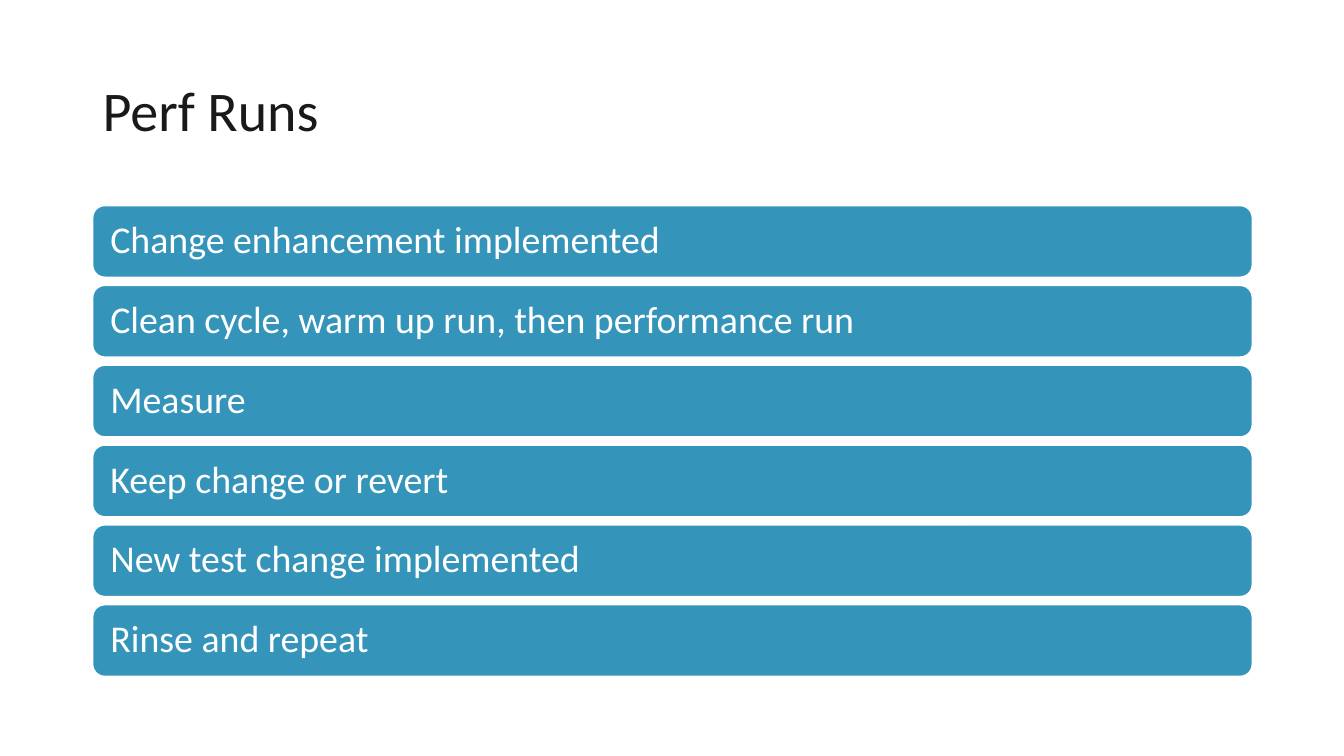
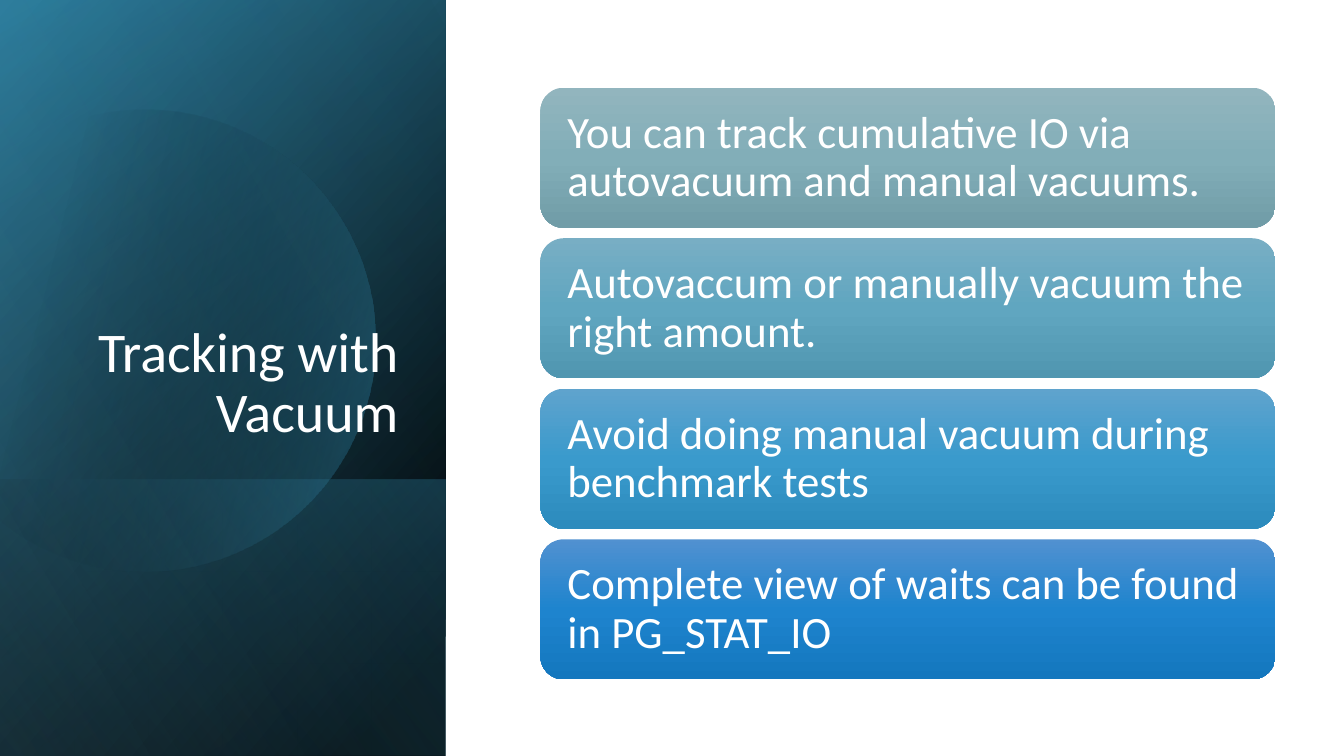
"""Builds two slides on performance runs and vacuum tracking."""
from math import acos, cos, sin

from lxml.etree import SubElement
from pptx import Presentation
from pptx.dml.color import RGBColor
from pptx.enum.shapes import MSO_SHAPE
from pptx.enum.text import MSO_ANCHOR, PP_ALIGN
from pptx.oxml.ns import qn
from pptx.util import Inches, Pt

FONT = "Calibri"
COLORS = {"ink": "191919", "white": "FFFFFF", "black": "000000",
          "accent": "3494BA", "deep": "276F8B", "pale": "7FC1DB"}

RUN_STEPS = [
    "Change enhancement implemented",
    "Clean cycle, warm up run, then performance run",
    "Measure",
    "Keep change or revert",
    "New test change implemented",
    "Rinse and repeat",
]
VACUUM_TIPS = [
    ("You can track cumulative IO via autovacuum and manual vacuums.",
     ("92B5BE", "82AEB8", "709CA7")),
    ("Autovaccum or manually vacuum the right amount.",
     ("78AEC4", "60A6C0", "5096B0")),
    ("Avoid doing manual vacuum during benchmark tests",
     ("5FA3CD", "3A9ACC", "2C8BBD")),
    ("Complete view of waits can be found in PG_STAT_IO",
     ("5191D0", "1E84CE", "1477BE")),
]

PANEL = (0, 0, 4.42, 7.5)
PANEL_FOOT = (0, 4.76, 4.42, 2.74)
BASE_LAYERS = [
    (PANEL, 50, [(8, COLORS["black"], 100), (100, COLORS["deep"], 100)]),
    (PANEL, 30, [(0, COLORS["black"], 0), (99, COLORS["accent"], 46)]),
    (PANEL_FOOT, 130, [(2, COLORS["accent"], 29), (100, COLORS["black"], 30)]),
]
TOP_LAYER = (PANEL, 120, [(0, COLORS["black"], 0), (99, COLORS["pale"], 11)])
DISC_CENTER, DISC_RADIUS = (1.43, 3.38), 2.29
DISC_STOPS = [(18, COLORS["black"], 0), (100, COLORS["accent"], 43)]


def fill_gradient(sp, angle, stops):
    sp.fill.background()
    spPr = sp._element.spPr
    old = spPr.find(qn("a:noFill"))
    grad = SubElement(spPr, qn("a:gradFill"), rotWithShape="1")
    spPr.replace(old, grad)
    stop_list = SubElement(grad, qn("a:gsLst"))
    for pos, color, opacity in stops:
        stop = SubElement(stop_list, qn("a:gs"), pos=str(pos * 1000))
        clr = SubElement(stop, qn("a:srgbClr"), val=color)
        if opacity < 100:
            SubElement(clr, qn("a:alpha"), val=str(opacity * 1000))
    SubElement(grad, qn("a:lin"), ang=str(angle * 60000), scaled="0")


def write_text(sp, text, size, color, anchor, align=PP_ALIGN.LEFT):
    tf = sp.text_frame
    tf.word_wrap = True
    tf.vertical_anchor = anchor
    tf.text = text
    p = tf.paragraphs[0]
    p.alignment = align
    p.line_spacing = 0.9
    p.font.name = FONT
    p.font.size = Pt(size)
    p.font.color.rgb = RGBColor.from_string(color)


def add_title(s, text, box, color, anchor, align=PP_ALIGN.LEFT):
    sp = s.shapes.add_textbox(*map(Inches, box))
    write_text(sp, text, 40, color, anchor, align)


def add_cards(s, texts, box, height, size, inset):
    left, top, width, total = box
    pitch = (total - height) / (len(texts) - 1)
    cards = []
    for i, text in enumerate(texts):
        sp = s.shapes.add_shape(
            MSO_SHAPE.ROUNDED_RECTANGLE, Inches(left), Inches(top + i * pitch),
            Inches(width), Inches(height))
        sp.shadow.inherit = False
        sp.line.fill.background()
        write_text(sp, text, size, COLORS["white"], MSO_ANCHOR.MIDDLE)
        tf = sp.text_frame
        tf.margin_left = tf.margin_right = Inches(inset)
        tf.margin_top = tf.margin_bottom = Inches(inset)
        cards.append(sp)
    return cards


def add_panel_layer(s, box, angle, stops):
    x, y, w, h = box
    sp = s.shapes.add_shape(
        MSO_SHAPE.RECTANGLE, Inches(x + (w - h) / 2), Inches(y + (h - w) / 2),
        Inches(h), Inches(w))
    sp.rotation = 90
    sp._element.spPr.get_or_add_xfrm().set("flipH", "1")
    sp.shadow.inherit = False
    sp.line.fill.background()
    fill_gradient(sp, angle, stops)


def add_disc(s, steps=120):
    cx, cy = DISC_CENTER
    reach = acos(-cx / DISC_RADIUS)
    angles = [reach * (2 * i / steps - 1) for i in range(steps + 1)]
    points = [(Inches(cx + DISC_RADIUS * cos(a)), Inches(cy + DISC_RADIUS * sin(a)))
              for a in angles]
    outline = s.shapes.build_freeform(*points[0])
    outline.add_line_segments(points[1:], close=True)
    sp = outline.convert_to_shape()
    sp.shadow.inherit = False
    sp.line.fill.background()
    fill_gradient(sp, 14, DISC_STOPS)


def build_runs(s):
    add_title(s, "Perf Runs", (0.92, 0.4, 11.5, 1.45), COLORS["ink"],
              MSO_ANCHOR.MIDDLE)
    for sp in add_cards(s, RUN_STEPS, (0.92, 2.04, 11.5, 4.67), 0.71, 27, 0.14):
        sp.fill.solid()
        sp.fill.fore_color.rgb = RGBColor.from_string(COLORS["accent"])
        sp.line.color.rgb = RGBColor.from_string(COLORS["white"])
        sp.line.width = Pt(1)


def build_vacuum(s):
    for layer in BASE_LAYERS:
        add_panel_layer(s, *layer)
    add_disc(s)
    add_panel_layer(s, *TOP_LAYER)
    add_title(s, "Tracking with Vacuum", (0.64, 1.84, 3.41, 2.62),
              COLORS["white"], MSO_ANCHOR.BOTTOM, PP_ALIGN.RIGHT)
    texts = [text for text, _ in VACUUM_TIPS]
    cards = add_cards(s, texts, (5.36, 0.87, 7.29, 5.87), 1.39, 32, 0.2)
    for sp, (_, shades) in zip(cards, VACUUM_TIPS):
        fill_gradient(sp, 90, [(50 * i, c, 100) for i, c in enumerate(shades)])


def main():
    prs = Presentation()
    prs.slide_width, prs.slide_height = Inches(13.33), Inches(7.5)
    for build in (build_runs, build_vacuum):
        build(prs.slides.add_slide(prs.slide_layouts[6]))
    prs.save("out.pptx")


if __name__ == "__main__":
    main()
